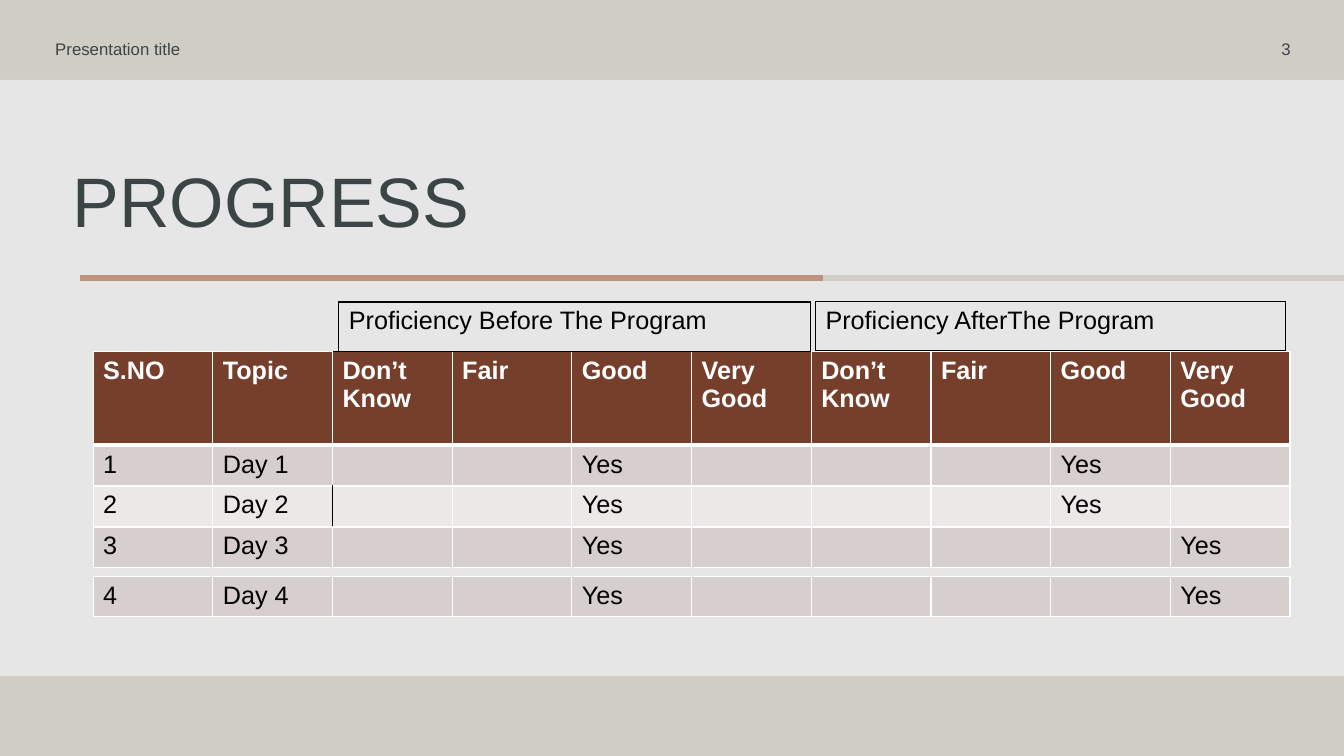
import pptx
import pptx.util
import pptx.dml.color
import pptx.enum.shapes
import pptx.enum.text
import lxml.etree

Pt = pptx.util.Pt
Color = pptx.dml.color.RGBColor
Anchor = pptx.enum.text.MSO_ANCHOR
Align = pptx.enum.text.PP_ALIGN

SAND = Color(0xD0, 0xCD, 0xC5)
PALE = Color(0xE7, 0xE6, 0xE6)
CLAY = Color(0xBE, 0x93, 0x7E)
SLATE = Color(0x3B, 0x45, 0x46)
RUST = Color(0x75, 0x3F, 0x2C)
ROSE = Color(0xD6, 0xCF, 0xCD)
BLUSH = Color(0xEC, 0xE8, 0xE8)
WHITE = Color(255, 255, 255)
BLACK = Color(0, 0, 0)
NS = "http://schemas.openxmlformats.org/drawingml/2006/main"


def write(frame, text, size=18, color=BLACK, bold=False, align=Align.LEFT):
    par = frame.paragraphs[0]
    par.alignment = align
    run = par.add_run()
    run.text = text
    run.font.name = "Arial"
    run.font.size = Pt(size)
    run.font.bold = bold
    run.font.color.rgb = color


def edge(cell, sides):
    props = cell._tc.get_or_add_tcPr()
    for spot, side in enumerate("LRTB"):
        color, width = sides[side]
        line = lxml.etree.Element(f"{{{NS}}}ln{side}", w=str(Pt(width)))
        fill = lxml.etree.SubElement(line, f"{{{NS}}}solidFill")
        lxml.etree.SubElement(fill, f"{{{NS}}}srgbClr", val=str(color))
        props.insert(spot, line)


deck = pptx.Presentation()
deck.slide_width = Pt(960)
deck.slide_height = Pt(540)
slide = deck.slides.add_slide(deck.slide_layouts[6])
slide.background.fill.solid()
slide.background.fill.fore_color.rgb = SAND

panel = slide.shapes.add_shape(
    pptx.enum.shapes.MSO_SHAPE.RECTANGLE, Pt(0), Pt(57), Pt(960), Pt(426))
panel.shadow.inherit = False
panel.fill.solid()
panel.fill.fore_color.rgb = PALE
panel.line.fill.background()

for start, end, color in [(588, 960, SAND), (57.5, 588, CLAY)]:
    rule = slide.shapes.add_connector(
        pptx.enum.shapes.MSO_CONNECTOR.STRAIGHT,
        Pt(start), Pt(198.5), Pt(end), Pt(198.5))
    rule.line.color.rgb = color
    rule.line.width = Pt(4.5)
    lxml.etree.SubElement(rule._element.spPr, f"{{{NS}}}effectLst")

title = slide.shapes.add_textbox(Pt(52), Pt(112.6), Pt(828), Pt(50)).text_frame
title.word_wrap = True
title.margin_left = title.margin_top = title.margin_bottom = 0
write(title, "PROGRESS", size=50, color=SLATE)

for left, width, text, align in [
    (32.4, 144, "Presentation title", Align.LEFT),
    (797, 132, "3", Align.RIGHT),
]:
    frame = slide.shapes.add_textbox(
        Pt(left), Pt(24), Pt(width), Pt(21.6)).text_frame
    frame.word_wrap = True
    frame.vertical_anchor = Anchor.MIDDLE
    write(frame, text, size=12, color=SLATE, align=align)

levels = ["Don’t Know", "Fair", "Good", "Very Good"]
days = [
    [str(day), f"Day {day}"]
    + ["Yes" if col in (4, after) else "" for col in range(2, 10)]
    for day, after in [(1, 8), (2, 8), (3, 9), (4, 9)]
]
head = ["S.NO", "Topic"] + levels * 2

grids = [
    (66.5, 251, 855, [67, 29.2, 29.2, 29.2], [head] + days[:3],
     [RUST, ROSE, BLUSH, ROSE], WHITE),
    (242, 215.7, 337, [35.3], [["Proficiency Before The Program"]],
     [None], BLACK),
    (582.5, 215.3, 336, [35.3], [["Proficiency AfterThe Program"]],
     [None], BLACK),
    (66.5, 411.6, 855, [28], days[3:], [ROSE], WHITE),
]

for left, top, width, heights, rows, fills, border in grids:
    count = len(rows[0])
    table = slide.shapes.add_table(
        len(rows), count, Pt(left), Pt(top), Pt(width), Pt(sum(heights))).table
    table.first_row = False
    table.horz_banding = False
    for col in table.columns:
        col.width = Pt(width / count)
    for r, (height, row, fill) in enumerate(zip(heights, rows, fills)):
        table.rows[r].height = Pt(height)
        header = fill == RUST
        for c, text in enumerate(row):
            cell = table.cell(r, c)
            if fill is None:
                cell.fill.background()
            else:
                cell.fill.solid()
                cell.fill.fore_color.rgb = fill
            if text:
                write(cell.text_frame, text, bold=header,
                      color=WHITE if header else BLACK)
            sides = dict.fromkeys("LRTB", (border, 1))
            if header:
                sides["B"] = (WHITE, 3)
                if c == 2:
                    sides["T"] = (BLACK, 1)
            elif r == 1:
                sides["T"] = (WHITE, 3)
            elif r == 2 and c in (1, 2):
                sides["R" if c == 1 else "L"] = (BLACK, 1)
            edge(cell, sides)

deck.save("out.pptx")
